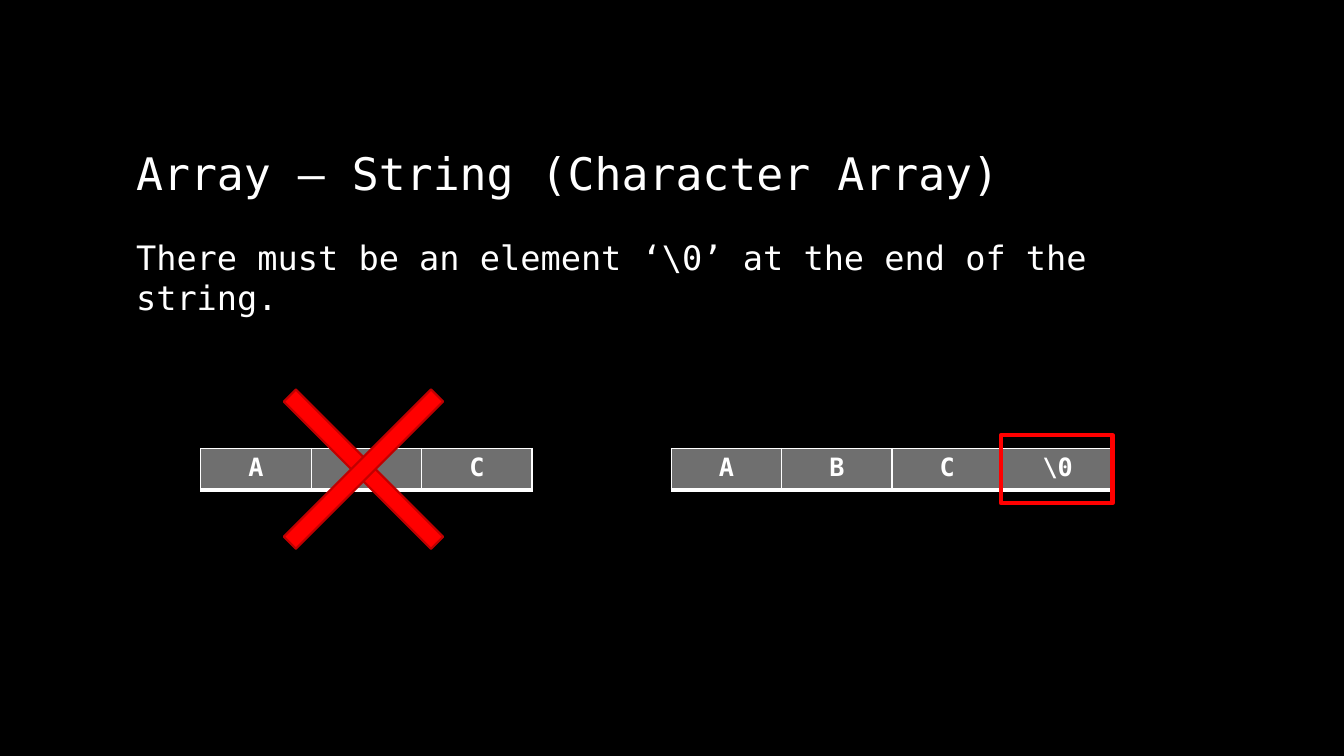
from dataclasses import dataclass

import lxml.etree
import pptx
import pptx.dml.color
import pptx.enum.shapes
import pptx.enum.text
import pptx.oxml.ns
import pptx.util

COLUMNS, ROWS = 160, 90
UNIT = pptx.util.Inches(1) / 12
FONT = "DejaVu Sans Mono"
COLORS = {
    "background": "000000",
    "text": "FFFFFF",
    "cell": "6F6F6F",
    "mark": "FF0000",
    "cross_edge": "C00000",
}
BORDERS = {"lnL": 1, "lnR": 1, "lnT": 1, "lnB": 3}
CELL_WIDTH, CELL_HEIGHT = 13.15, 4.9
LEFT = pptx.enum.text.PP_ALIGN.LEFT
CENTER = pptx.enum.text.PP_ALIGN.CENTER
MIDDLE = pptx.enum.text.MSO_ANCHOR.MIDDLE


@dataclass
class Box:
    """A rectangle in grid columns and rows."""
    left: float
    top: float
    width: float
    height: float


@dataclass
class CharArray:
    left: float
    top: float
    elements: list[str]


ARRAYS = [
    CharArray(23.9, 53.4, ["A", "B", "C"]),
    CharArray(79.9, 53.4, ["A", "B", "C", r"\0"]),
]
CROSS_BAR = Box(42.25, 43.45, 2.05, 24.8)
CROSS_ANGLES = [315, 45]
TERMINATOR_FRAME = Box(119.15, 51.8, 13.3, 8.1)


def grid(count: float) -> int:
    return round(count * UNIT)


def extent(box: Box) -> list[int]:
    return [grid(side) for side in (box.left, box.top, box.width, box.height)]


def color(name: str) -> pptx.dml.color.RGBColor:
    return pptx.dml.color.RGBColor.from_string(COLORS[name])


def write(frame, text: str, size: float, align=LEFT, bold: bool = False):
    paragraph = frame.paragraphs[0]
    paragraph.alignment = align
    run = paragraph.add_run()
    run.text = text
    run.font.name = FONT
    run.font.size = pptx.util.Pt(size)
    run.font.bold = bold
    run.font.color.rgb = color("text")
    return paragraph


def fill_placeholder(placeholder, box: Box, text: str, size: float):
    placeholder.left, placeholder.top, placeholder.width, placeholder.height = extent(box)
    frame = placeholder.text_frame
    frame.word_wrap = True
    frame.auto_size = pptx.enum.text.MSO_AUTO_SIZE.NONE
    frame.vertical_anchor = MIDDLE
    return write(frame, text, size)


def remove_bullet(paragraph) -> None:
    properties = paragraph._p.get_or_add_pPr()
    properties.set("marL", "0")
    properties.set("indent", "0")
    lxml.etree.SubElement(properties, pptx.oxml.ns.qn("a:buNone"))


def add_borders(cell) -> None:
    qn = pptx.oxml.ns.qn
    properties = cell._tc.get_or_add_tcPr()
    for side, width in BORDERS.items():
        line = lxml.etree.SubElement(properties, qn(f"a:{side}"), w=str(pptx.util.Pt(width)))
        solid = lxml.etree.SubElement(line, qn("a:solidFill"))
        lxml.etree.SubElement(solid, qn("a:srgbClr"), val=COLORS["text"])


def draw_array(shapes, array: CharArray) -> None:
    count = len(array.elements)
    box = Box(array.left, array.top, count * CELL_WIDTH, CELL_HEIGHT)
    table = shapes.add_table(1, count, *extent(box)).table
    table.horz_banding = False
    for index, element in enumerate(array.elements):
        table.columns[index].width = grid(CELL_WIDTH)
        cell = table.cell(0, index)
        add_borders(cell)
        cell.fill.solid()
        cell.fill.fore_color.rgb = color("cell")
        write(cell.text_frame, element, 18, align=CENTER, bold=True)


def draw_rectangle(shapes, box: Box, line: str, line_width: float,
                   fill: str | None = None, angle: float = 0) -> None:
    rectangle = shapes.add_shape(pptx.enum.shapes.MSO_SHAPE.RECTANGLE, *extent(box))
    rectangle.shadow.inherit = False
    rectangle.rotation = angle
    rectangle.line.color.rgb = color(line)
    rectangle.line.width = pptx.util.Pt(line_width)
    if fill:
        rectangle.fill.solid()
        rectangle.fill.fore_color.rgb = color(fill)
    else:
        rectangle.fill.background()


def main() -> None:
    deck = pptx.Presentation()
    deck.slide_width, deck.slide_height = grid(COLUMNS), grid(ROWS)
    slide = deck.slides.add_slide(deck.slide_layouts.get_by_name("Title and Content"))
    slide.background.fill.solid()
    slide.background.fill.fore_color.rgb = color("background")

    title, statement = slide.placeholders
    fill_placeholder(title, Box(15, 8, 130, 25), "Array – String (Character Array)", 32)
    rule = fill_placeholder(statement, Box(15, 28, 130, 10),
                            r"There must be an element ‘\0’ at the end of the string.", 24)
    rule.space_after = pptx.util.Pt(6)
    remove_bullet(rule)

    for array in ARRAYS:
        draw_array(slide.shapes, array)
    cross = slide.shapes.add_group_shape()
    for angle in CROSS_ANGLES:
        draw_rectangle(cross.shapes, CROSS_BAR, "cross_edge", 1.5, fill="mark", angle=angle)
    draw_rectangle(slide.shapes, TERMINATOR_FRAME, "mark", 3)

    deck.save("out.pptx")


if __name__ == "__main__":
    main()
